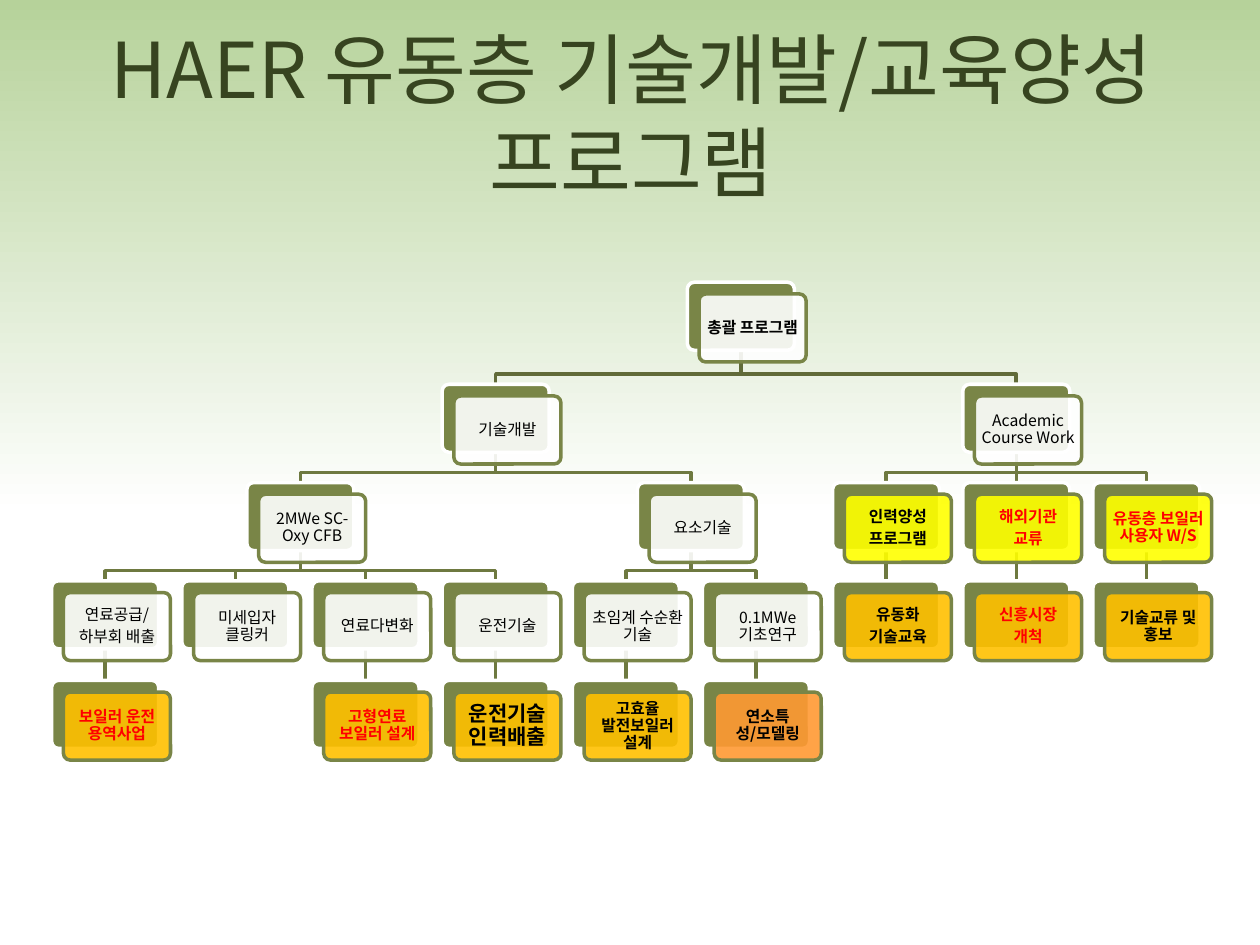
"""Build the fluidized-bed programme slide with its organisation tree."""
import itertools

import pptx
import pptx.dml.color
import pptx.enum.shapes
import pptx.enum.text
import pptx.oxml.ns
import pptx.util
from lxml import etree
from pptx.util import Inches

FONT = "Noto Sans CJK KR"
TITLE = "HAER 유동층 기술개발/교육양성 프로그램"
OLIVE, BRANCH, TRUNK = "798547", "6E7940", "616B39"

STYLES = {
    "plain": ("FFFFFF", "000000", False, 9),
    "root": ("FFFFFF", "000000", True, 9),
    "yellow": ("FFFF00", "000000", True, 9),
    "yellow alert": ("FFFF00", "FF0000", True, 9),
    "amber": ("FFC000", "000000", True, 9),
    "amber alert": ("FFC000", "FF0000", True, 9),
    "amber large": ("FFC000", "000000", True, 12),
    "orange": ("FF9933", "000000", True, 9),
}

TREE = ("root", ["총괄 프로그램"], [
    ("plain", ["기술개발"], [
        ("plain", ["2MWe SC-Oxy CFB"], [
            ("plain", ["연료공급/", "하부회 배출"], [
                ("amber alert", ["보일러 운전 용역사업"], [])]),
            ("plain", ["미세입자 클링커"], []),
            ("plain", ["연료다변화"], [
                ("amber alert", ["고형연료 보일러 설계"], [])]),
            ("plain", ["운전기술"], [
                ("amber large", ["운전기술인력배출"], [])]),
        ]),
        ("plain", ["요소기술"], [
            ("plain", ["초임계 수순환 기술"], [
                ("amber", ["고효율 발전보일러 설계"], [])]),
            ("plain", ["0.1MWe 기초연구"], [
                ("orange", ["연소특성/모델링"], [])]),
        ]),
    ]),
    ("plain", ["Academic Course Work"], [
        ("yellow", ["인력양성", "프로그램"], [
            ("amber", ["유동화", "기술교육"], [])]),
        ("yellow alert", ["해외기관", "교류"], [
            ("amber alert", ["신흥시장", "개척"], [])]),
        ("yellow alert", ["유동층 보일러 사용자 W/S"], [
            ("amber", ["기술교류 및 홍보"], [])]),
    ]),
])

LEFT, COLUMN_PITCH = 0.41, 1.033
LEVEL_TOPS = [2.24, 3.05, 3.83, 4.61, 5.4]
CARD_WIDTH, CARD_HEIGHT, CARD_OFFSET = 0.85, 0.54, 0.093
ROOT_SHIFT, BEND_GAP = -0.12, 0.08


def color(value):
    return pptx.dml.color.RGBColor.from_string(value)


def add_text(frame, lines, size, ink, bold, margin):
    frame.word_wrap = True
    frame.vertical_anchor = pptx.enum.text.MSO_ANCHOR.MIDDLE
    frame.margin_left = frame.margin_right = Inches(margin)
    frame.margin_top = frame.margin_bottom = Inches(margin)
    for index, line in enumerate(lines):
        para = frame.add_paragraph() if index else frame.paragraphs[0]
        para.alignment = pptx.enum.text.PP_ALIGN.CENTER
        span = para.add_run()
        span.text = line
        span.font.name = FONT
        span.font.size = pptx.util.Pt(size)
        span.font.bold = bold
        span.font.color.rgb = color(ink)
        east_asian = etree.SubElement(span.font._element, pptx.oxml.ns.qn("a:ea"))
        east_asian.set("typeface", FONT)


def add_panel(page, left, top, fill, line):
    panel = page.shapes.add_shape(
        pptx.enum.shapes.MSO_SHAPE.ROUNDED_RECTANGLE,
        Inches(left), Inches(top), Inches(CARD_WIDTH), Inches(CARD_HEIGHT))
    panel.adjustments[0] = 0.1
    panel.shadow.inherit = False
    panel.fill.solid()
    panel.fill.fore_color.rgb = color(fill)
    panel.line.color.rgb = color(line)
    panel.line.width = pptx.util.Pt(2)
    return panel


def add_card(page, left, top, lines, style):
    fill, ink, bold, size = STYLES[style]
    back = add_panel(page, left, top, OLIVE, "FFFFFF")
    front = add_panel(page, left + CARD_OFFSET, top + CARD_OFFSET, fill, OLIVE)
    tint = front.fill._xPr.find(".//" + pptx.oxml.ns.qn("a:srgbClr"))
    etree.SubElement(tint, pptx.oxml.ns.qn("a:alpha")).set("val", "90000")
    add_text(front.text_frame, lines, size, ink, bold, 0.05 if size > 9 else 0.04)
    for para in front.text_frame.paragraphs:
        para.line_spacing = 0.9
        para.space_after = pptx.util.Pt(size * 0.35)
    return back


def add_link(page, parent, child, line, layer):
    start_x = parent.left + parent.width // 2
    start_y = parent.top + parent.height
    end_x = child.left + child.width // 2
    if abs(start_x - end_x) < Inches(0.01):
        link = page.shapes.add_connector(
            pptx.enum.shapes.MSO_CONNECTOR.STRAIGHT, start_x, start_y, end_x, child.top)
        link.begin_connect(parent, 2)
        link.end_connect(child, 0)
        etree.SubElement(link._element.spPr, pptx.oxml.ns.qn("a:effectLst"))
    else:
        bend = child.top - Inches(BEND_GAP)
        outline = page.shapes.build_freeform(start_x, start_y)
        outline.add_line_segments(
            [(start_x, bend), (end_x, bend), (end_x, child.top)], close=False)
        link = outline.convert_to_shape()
        link.fill.background()
        link.shadow.inherit = False
    link.line.color.rgb = color(line)
    link.line.width = pptx.util.Pt(2)
    layer._element.addnext(link._element)


def add_branch(page, node, level, columns, layer):
    style, lines, children = node
    branches = [add_branch(page, child, level + 1, columns, layer) for child in children]
    if branches:
        column = (branches[0][0] + branches[-1][0]) / 2
    else:
        column = next(columns)
    left = LEFT + column * COLUMN_PITCH + (0 if level else ROOT_SHIFT)
    card = add_card(page, left, LEVEL_TOPS[level], lines, style)
    for _, child_card in branches:
        add_link(page, card, child_card, BRANCH if level else TRUNK, layer)
    return column, card


def main():
    deck = pptx.Presentation()
    deck.slide_width, deck.slide_height = Inches(10), Inches(7.5)
    page = deck.slides.add_slide(deck.slide_layouts[6])

    band = page.shapes.add_shape(
        pptx.enum.shapes.MSO_SHAPE.RECTANGLE, 0, 0, Inches(10), Inches(4.08))
    band.shadow.inherit = False
    band.line.fill.background()
    band.fill.gradient()
    band.fill.gradient_angle = 270
    for stop, value in zip(band.fill.gradient_stops, ["B6D29A", "FFFFFF"]):
        stop.color.rgb = color(value)

    title = page.shapes.add_textbox(Inches(0.51), Inches(0.28), Inches(9), Inches(1.25))
    add_text(title.text_frame, [TITLE], 44, "374420", False, 0.05)

    add_branch(page, TREE, 0, itertools.count(), title)
    deck.save("out.pptx")


if __name__ == "__main__":
    main()
